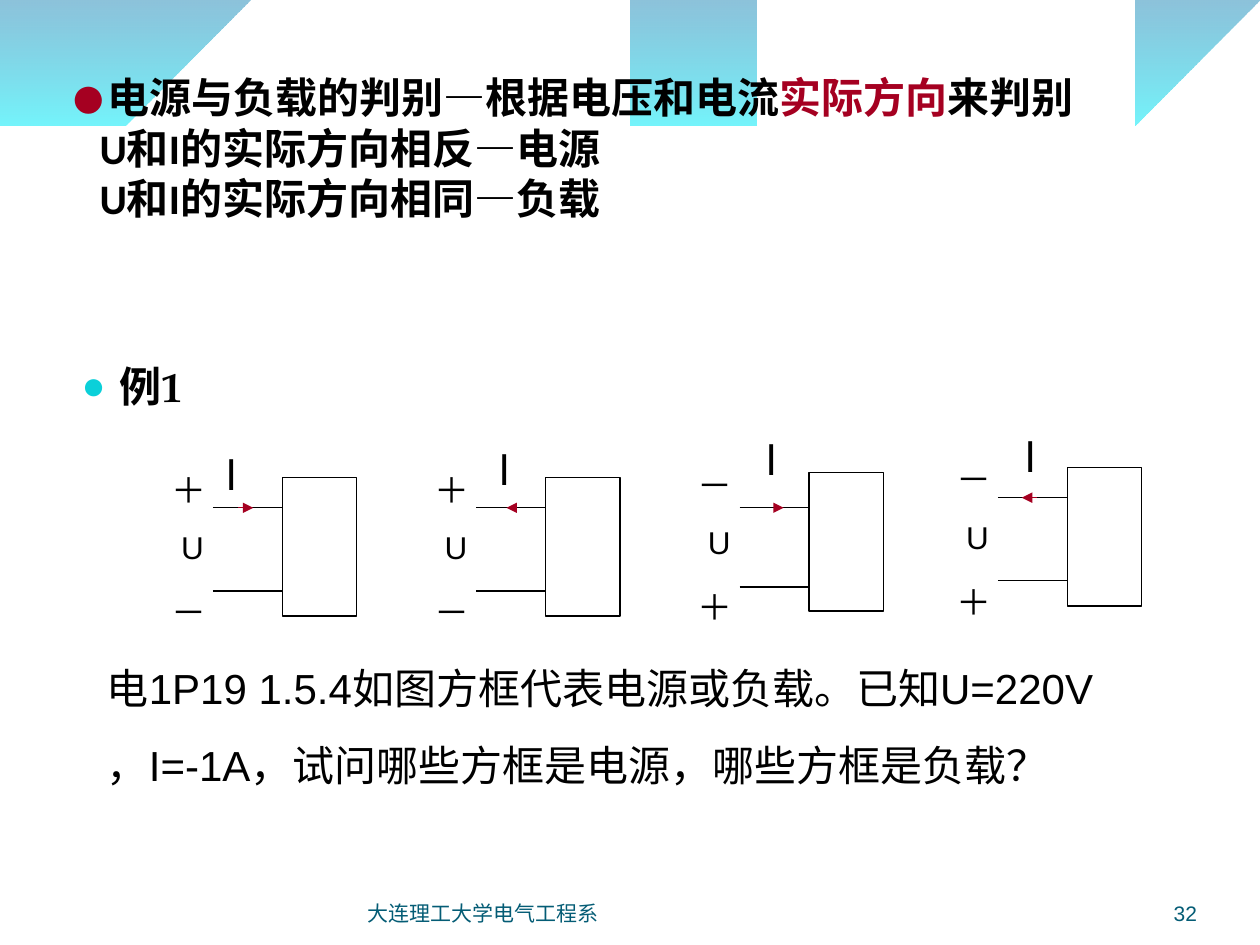
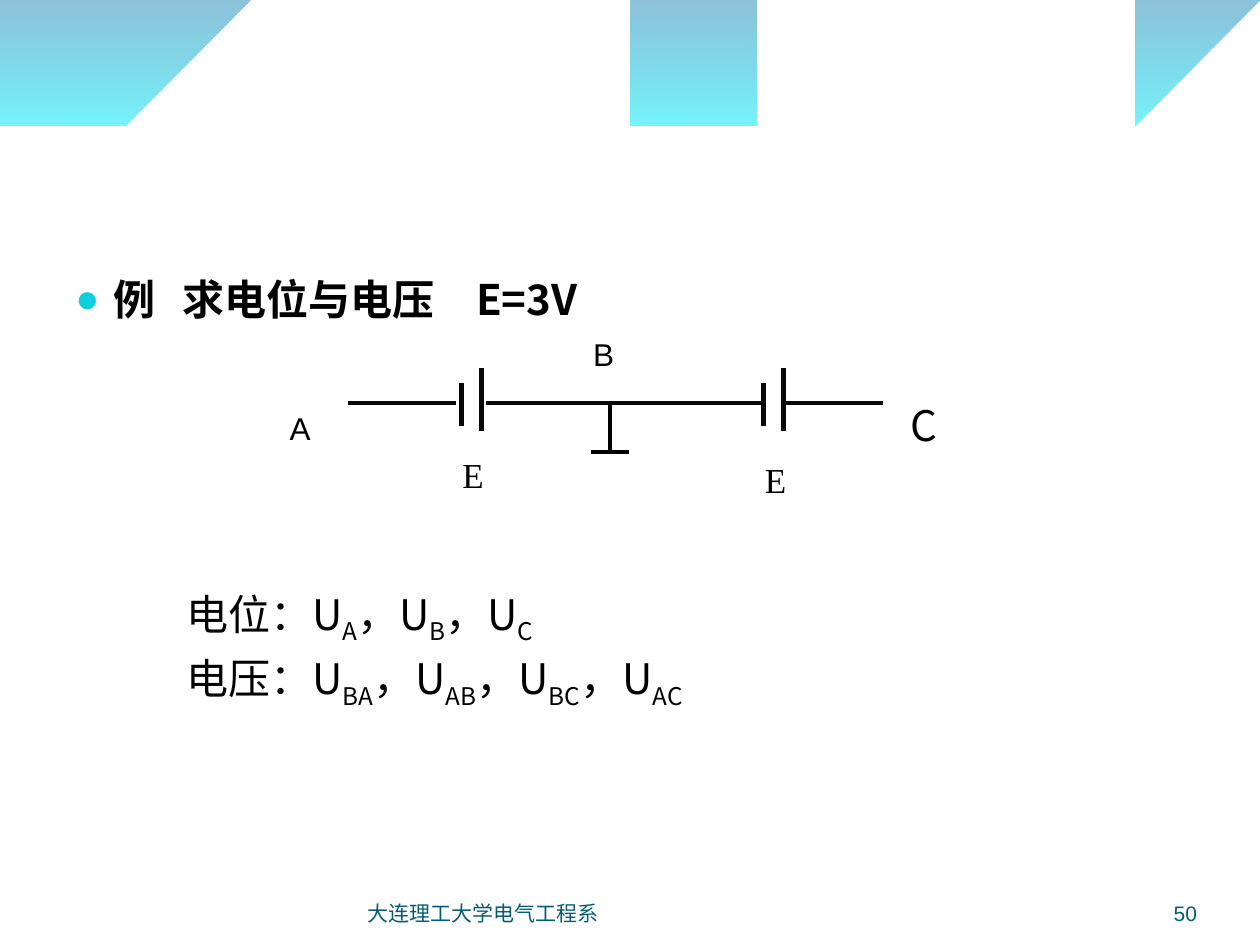
from lxml.etree import SubElement
from pptx import Presentation
from pptx.dml.color import RGBColor
from pptx.enum.shapes import MSO_CONNECTOR, MSO_SHAPE
from pptx.enum.text import MSO_ANCHOR, PP_ALIGN
from pptx.oxml.ns import qn
from pptx.util import Inches, Pt

BLACK = RGBColor(0x00, 0x00, 0x00)
INK = RGBColor(0x08, 0x08, 0x08)
CRIMSON = RGBColor(0xA5, 0x00, 0x21)
CYAN = RGBColor(0x0B, 0xD0, 0xD9)
FOOTER_BLUE = RGBColor(0x04, 0x5C, 0x75)
WAVE_STOPS = [(RGBColor(0x00, 0x79, 0xAF), 45), (RGBColor(0x00, 0xEB, 0xF8), 55)]

SANS, SERIF, CHINESE = "Arial", "Times New Roman", "Noto Sans CJK SC"
TITLE_FONT, BODY_FONT = "Calibri", "TeX Gyre Pagella"
DEFAULT_INSETS = (0.1, 0.05, 0.1, 0.05)

FOOTER = "大连理工大学电气工程系"
WAVE_TOP = [
    [(4.4, -0.01), (4.76, 0.17), (6.64, 0.63), (7.58, 0.63)],
    [(7.58, 0.63), (8.53, 0.63), (9.58, 0.26), (10, 0.09)],
]
WAVE_BOTTOM = [
    [(10.01, 0.36), (9.83, 0.44), (8.7, 0.76), (7.46, 0.75)],
    [(7.46, 0.75), (6.22, 0.75), (3.82, 0.28), (2.58, 0.34)],
    [(2.58, 0.34), (1.29, 0.36), (0.46, 0.83), (-0.01, 1.13)],
]

TITLE_LINES = [
    [("电源与负载的判别—根据电压和电流", BLACK), ("实际方向", CRIMSON), ("来判别", BLACK)],
    [("U和I的实际方向相反—电源", BLACK)],
    [("U和I的实际方向相同—负载", BLACK)],
]
QUESTION = [
    "电1P19 1.5.4如图方框代表电源或负载。已知U=220V",
    "，I=-1A，试问哪些方框是电源，哪些方框是负载？",
]
CIRCUITS = [
    dict(box=(2.24, 3.79), signs="＋－", wires=(4.03, 4.69), arrow=(1.89, 2.01), current=(1.69, 3.51)),
    dict(box=(4.33, 3.79), signs="＋－", wires=(4.03, 4.69), arrow=(4.09, 4.02), current=(3.86, 3.47)),
    dict(box=(6.42, 3.75), signs="－＋", wires=(4.03, 4.66), arrow=(6.14, 6.22), current=(5.98, 3.39)),
    dict(box=(8.47, 3.71), signs="－＋", wires=(3.95, 4.61), arrow=(8.23, 8.11), current=(8.03, 3.37)),
]
WIRE_LENGTH = 0.55

AXIS = 3.2
AXIS_WIRES = [(2.76, 3.62), (3.86, 6.05), (6.22, 7.01)]
BATTERIES = [(3.66, 3.55), (6.06, 3.59)]
PLATE_GAP = 0.16
GROUND = (4.84, 3.59)
NODES = [("A", 2.2, 3.2), ("B", 4.61, 2.61)]
QUANTITIES = [
    ("电位：", ["A", "B", "C"], 4.62, 3.39),
    ("电压：", ["BA", "AB", "BC", "AC"], 5.13, 5.28),
]


def style(paragraph, size, font, color=BLACK, bold=False, before=0):
    paragraph.font.size = Pt(size)
    paragraph.font.name = font
    paragraph.font.color.rgb = color
    paragraph.font.bold = bold
    paragraph.space_before = Pt(before)


def add_text(slide, box, lines, size, font, color=BLACK, bold=False, before=0,
             anchor=MSO_ANCHOR.TOP, align=PP_ALIGN.LEFT, insets=DEFAULT_INSETS):
    frame = slide.shapes.add_textbox(*map(Inches, box)).text_frame
    frame.word_wrap = True
    frame.vertical_anchor = anchor
    (frame.margin_left, frame.margin_top,
     frame.margin_right, frame.margin_bottom) = map(Inches, insets)
    frame.text = "\n".join(lines)
    for paragraph in frame.paragraphs:
        style(paragraph, size, font, color, bold, before)
        paragraph.alignment = align
    return frame


def add_bullet(paragraph, color, percent, hang, tabs=()):
    properties = paragraph._p.get_or_add_pPr()
    properties.set("marL", str(Inches(hang)))
    properties.set("indent", str(-Inches(hang)))
    bullet = [SubElement(properties, qn(tag)) for tag in ("a:buClr", "a:buSzPct", "a:buFont", "a:buChar")]
    SubElement(bullet[0], qn("a:srgbClr")).set("val", str(color))
    bullet[1].set("val", str(percent * 1000))
    bullet[2].set("typeface", SANS)
    bullet[3].set("char", "●")
    if tabs:
        tab_list = SubElement(properties, qn("a:tabLst"))
        for position in tabs:
            tab = SubElement(tab_list, qn("a:tab"))
            tab.set("pos", str(Inches(position)))
            tab.set("algn", "l")
    defaults = properties.find(qn("a:defRPr"))
    if defaults is not None:
        properties.append(defaults)


def add_line(slide, start, end, color=BLACK, width=0.75, arrow=False):
    line = slide.shapes.add_connector(MSO_CONNECTOR.STRAIGHT, *map(Inches, (*start, *end)))
    line.line.color.rgb = color
    line.line.width = Pt(width)
    if arrow:
        SubElement(line.line._get_or_add_ln(), qn("a:tailEnd")).set("type", "triangle")
    SubElement(line._element.spPr, qn("a:effectLst"))


def curve_points(curve, steps=16):
    for step in range(steps + 1):
        t = step / steps
        weights = ((1 - t) ** 3, 3 * t * (1 - t) ** 2, 3 * t * t * (1 - t), t ** 3)
        yield tuple(sum(weight * point[axis] for weight, point in zip(weights, curve)) for axis in (0, 1))


def add_wave(slide):
    points = [point for curve in WAVE_TOP + WAVE_BOTTOM for point in curve_points(curve)]
    builder = slide.shapes.build_freeform(0, 0, scale=Inches(1))
    builder.add_line_segments(points, close=True)
    wave = builder.convert_to_shape()
    wave.shadow.inherit = False
    wave.line.fill.background()
    wave.fill.gradient()
    wave.fill.gradient_angle = 270
    for stop, (color, _) in zip(wave.fill.gradient_stops, WAVE_STOPS):
        stop.color.rgb = color
    for element, (_, opacity) in zip(wave._element.spPr.iter(qn("a:srgbClr")), WAVE_STOPS):
        SubElement(element, qn("a:alpha")).set("val", str(opacity * 1000))


def add_base_slide(presentation, number):
    slide = presentation.slides.add_slide(presentation.slide_layouts[6])
    add_wave(slide)
    for left, width, text, align in ((2.92, 3.67, FOOTER, PP_ALIGN.LEFT),
                                     (8.67, 0.83, number, PP_ALIGN.RIGHT)):
        add_text(slide, (left, 6.95, width, 0.4), [text], 12, SANS, FOOTER_BLUE,
                 anchor=MSO_ANCHOR.BOTTOM, align=align, insets=(0, 0, 0, 0))
    return slide


def add_heading(slide, box, text, font, tabs=()):
    frame = add_text(slide, box, [text], 24, font, bold=True, before=6)
    add_bullet(frame.paragraphs[0], CYAN, 95, 0.3, tabs)


def add_circuit(slide, box, signs, wires, arrow, current):
    left, top = box
    rectangle = slide.shapes.add_shape(MSO_SHAPE.RECTANGLE, *map(Inches, (left, top, 0.59, 1.1)))
    rectangle.shadow.inherit = False
    rectangle.fill.background()
    rectangle.line.color.rgb = BLACK
    rectangle.line.width = Pt(0.75)
    polarity = add_text(slide, (left - 0.98, top - 0.16, 0.55, 1.44), signs, 20, SERIF,
                        anchor=MSO_ANCHOR.BOTTOM)
    polarity.paragraphs[1].space_before = Pt(46)
    add_text(slide, (left - 0.9, top + 0.35, 0.43, 0.4), ["U"], 18, SANS, before=11.2)
    for height in wires:
        add_line(slide, (left - WIRE_LENGTH, height), (left, height))
    add_line(slide, (arrow[0], wires[0]), (arrow[1], wires[0]), CRIMSON, arrow=True)
    add_text(slide, (*current, 0.35, 0.5), ["I"], 24, CHINESE, before=15)


def build_source_or_load(presentation):
    slide = add_base_slide(presentation, "32")
    frame = add_text(slide, (0.55, 0.52, 9, 1.81), [""], 24, TITLE_FONT, bold=True,
                     insets=(0, 0.05, 0, 0))
    paragraph = frame.paragraphs[0]
    for index, line in enumerate(TITLE_LINES):
        if index:
            paragraph.add_line_break()
        for text, color in line:
            run = paragraph.add_run()
            run.text = text
            run.font.color.rgb = color
    add_bullet(paragraph, CRIMSON, 150, 0.24)
    add_heading(slide, (0.55, 2.81, 9, 4.13), "例1", BODY_FONT)
    for circuit in CIRCUITS:
        add_circuit(slide, **circuit)
    add_text(slide, (0.75, 5.21, 8.78, 1.11), QUESTION, 24, SANS, before=15)


def build_potential_and_voltage(presentation):
    slide = add_base_slide(presentation, "50")
    add_heading(slide, (0.5, 2.12, 9, 4.8), "例\t求电位与电压\tE=3V", CHINESE, (0.85, 3.18))
    for start, end in AXIS_WIRES:
        add_line(slide, (start, AXIS), (end, AXIS), INK, 2.25)
    for left, label_top in BATTERIES:
        add_line(slide, (left, 3.04), (left, 3.38), INK, 3)
        add_line(slide, (left + PLATE_GAP, 2.92), (left + PLATE_GAP, 3.42), INK, 3)
        add_text(slide, (left - 0.1, label_top, 0.39, 0.44), ["E"], 20, SERIF, align=PP_ALIGN.CENTER)
    ground_x, ground_y = GROUND
    add_line(slide, (ground_x, AXIS), GROUND, width=2.25)
    add_line(slide, (ground_x - 0.15, ground_y), (ground_x + 0.15, ground_y), width=2.25)
    for name, left, top in NODES:
        add_text(slide, (left, top, 0.59, 0.4), [name], 18, SANS, before=11.2)
    add_text(slide, (7.13, 3.12, 0.35, 0.5), ["C"], 24, CHINESE, before=15)
    for label, subscripts, top, width in QUANTITIES:
        frame = add_text(slide, (1.38, top, width, 0.56), [""], 24, CHINESE, before=15)
        paragraph = frame.paragraphs[0]
        for index, subscript in enumerate(subscripts):
            paragraph.add_run().text = "，U" if index else label + "U"
            run = paragraph.add_run()
            run.text = subscript
            run._r.get_or_add_rPr().set("baseline", "-25000")


def main():
    presentation = Presentation()
    presentation.slide_width, presentation.slide_height = Inches(10), Inches(7.5)
    build_source_or_load(presentation)
    build_potential_and_voltage(presentation)
    presentation.save("out.pptx")


if __name__ == "__main__":
    main()
